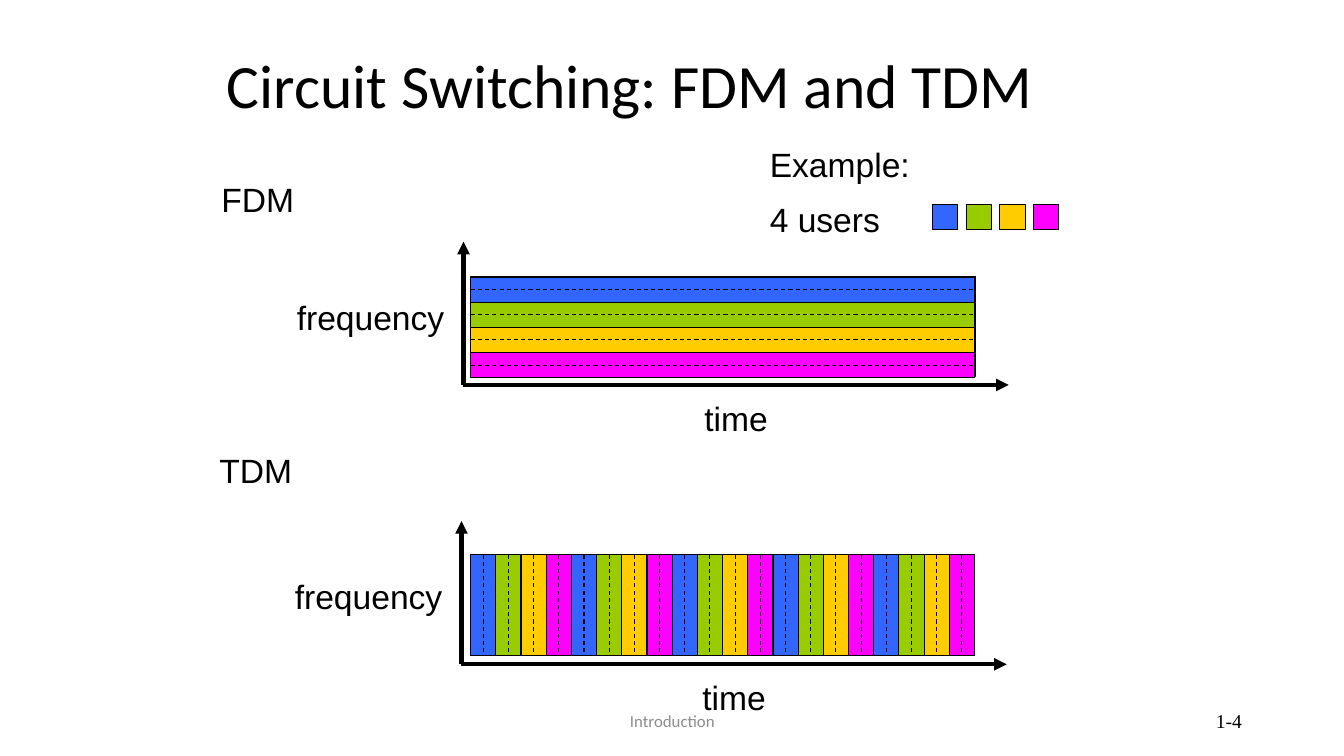
from lxml.etree import SubElement
from pptx import Presentation
from pptx.dml.color import RGBColor
from pptx.enum.dml import MSO_LINE
from pptx.enum.shapes import MSO_CONNECTOR, MSO_SHAPE
from pptx.enum.text import MSO_ANCHOR, MSO_AUTO_SIZE, PP_ALIGN
from pptx.oxml.ns import qn
from pptx.util import Cm, Pt

TITLE = "Circuit Switching: FDM and TDM"
USERS = ["3366FF", "99CC00", "FFCC00", "FF00FF"]
BLACK = "000000"
BACKING = "5B9BD5"
BAND_W, BAND_H = 12.7, 2.54
AXIS_W, AXIS_H = 13.74, 3.61
SLOT = BAND_H / len(USERS)
DIAGRAMS = [
    {"name": "FDM", "name_y": 4.39, "origin": (11.68, 9.7), "backing": (11.89, 6.96),
     "band": (11.86, 6.98), "slots": 4, "step": (0, SLOT), "size": (BAND_W, SLOT), "sites": (1, 3)},
    {"name": "TDM", "name_y": 11.2, "origin": (11.63, 16.74), "backing": (11.86, 13.97),
     "band": (11.86, 13.97), "slots": 20, "step": (SLOT, 0), "size": (SLOT, BAND_H), "sites": (0, 2)},
]
LEGEND = [("4 users", 19.15, 4.88, 3.3), ("Example:", 19.15, 3.5, 4.04)]
FOOTERS = [
    ("Introduction", 11.23, 11.43, PP_ALIGN.CENTER, "Calibri", 12, "8C8C8C"),
    ("1-4", 23.93, 7.62, PP_ALIGN.RIGHT, "Times New Roman", 14, BLACK),
]


def rgb(value):
    return RGBColor.from_string(value)


def style(p, name, size, color):
    p.font.name = name
    p.font.size = Pt(size)
    p.font.color.rgb = rgb(color)


def add_label(text, x, y, w):
    tf = s.shapes.add_textbox(Cm(x), Cm(y), Cm(w), Cm(1.27)).text_frame
    tf.word_wrap = False
    tf.auto_size = MSO_AUTO_SIZE.SHAPE_TO_FIT_TEXT
    tf.text = text
    style(tf.paragraphs[0], "Arial", 24, BLACK)


def add_rect(x, y, w, h, color):
    sp = s.shapes.add_shape(MSO_SHAPE.RECTANGLE, Cm(x), Cm(y), Cm(w), Cm(h))
    sp.shadow.inherit = False
    sp.fill.solid()
    sp.fill.fore_color.rgb = rgb(color)
    sp.line.color.rgb = rgb(BLACK)
    sp.line.width = Pt(0.75)
    return sp


def add_line(x1, y1, x2, y2, width=0.75):
    line = s.shapes.add_connector(MSO_CONNECTOR.STRAIGHT, Cm(x1), Cm(y1), Cm(x2), Cm(y2))
    line.line.color.rgb = rgb(BLACK)
    line.line.width = Pt(width)
    SubElement(line._element.spPr, qn("a:effectLst"))
    return line


def add_axis(x1, y1, x2, y2):
    axis = add_line(x1, y1, x2, y2, 3)
    SubElement(axis.line._get_or_add_ln(), qn("a:tailEnd"), type="triangle")


def add_diagram(d):
    x, y = d["origin"]
    add_label(d["name"], x - 6.35, d["name_y"], 2.34)
    add_axis(x, y, x, y - AXIS_H)
    add_label("frequency", x - 4.45, y - 2.34, 4.24)
    add_axis(x, y, x + AXIS_W, y)
    add_label("time", x + 5.82, y + 0.2, 2.11)
    add_rect(*d["backing"], BAND_W, BAND_H, BACKING)

    (left, top), (dx, dy), (w, h) = d["band"], d["step"], d["size"]
    corners = [(left + i * dx, top + i * dy) for i in range(d["slots"])]
    slots = [add_rect(cx, cy, w, h, USERS[i % len(USERS)]) for i, (cx, cy) in enumerate(corners)]
    for cx, cy in corners[1:]:
        add_line(cx, cy, cx + w - dx, cy + h - dy)
    first, last = d["sites"]
    for slot in slots:
        line = add_line(left, top, left + w, top + h)
        line.begin_connect(slot, first)
        line.end_connect(slot, last)
        line.line.dash_style = MSO_LINE.DASH


prs = Presentation()
prs.slide_width, prs.slide_height = Cm(33.87), Cm(19.05)
s = prs.slides.add_slide(prs.slide_layouts[5])

title = s.shapes.title
title.left, title.top, title.width, title.height = Cm(5.46), Cm(0.64), Cm(23.52), Cm(3.18)
tf = title.text_frame
tf.text = TITLE
tf.vertical_anchor = MSO_ANCHOR.MIDDLE
p = tf.paragraphs[0]
p.alignment = PP_ALIGN.LEFT
p.line_spacing = 0.9
style(p, "Calibri", 44, BLACK)

for text, x, w, align, font, size, color in FOOTERS:
    tf = s.shapes.add_textbox(Cm(x), Cm(17.66), Cm(w), Cm(1.01)).text_frame
    tf.word_wrap = True
    tf.vertical_anchor = MSO_ANCHOR.MIDDLE
    tf.text = text
    tf.paragraphs[0].alignment = align
    style(tf.paragraphs[0], font, size, color)

for diagram in DIAGRAMS:
    add_diagram(diagram)

for label in LEGEND:
    add_label(*label)
for i, color in enumerate(USERS):
    add_rect(23.5 + i * 0.85, 5.16, SLOT, SLOT, color)

prs.save("out.pptx")
